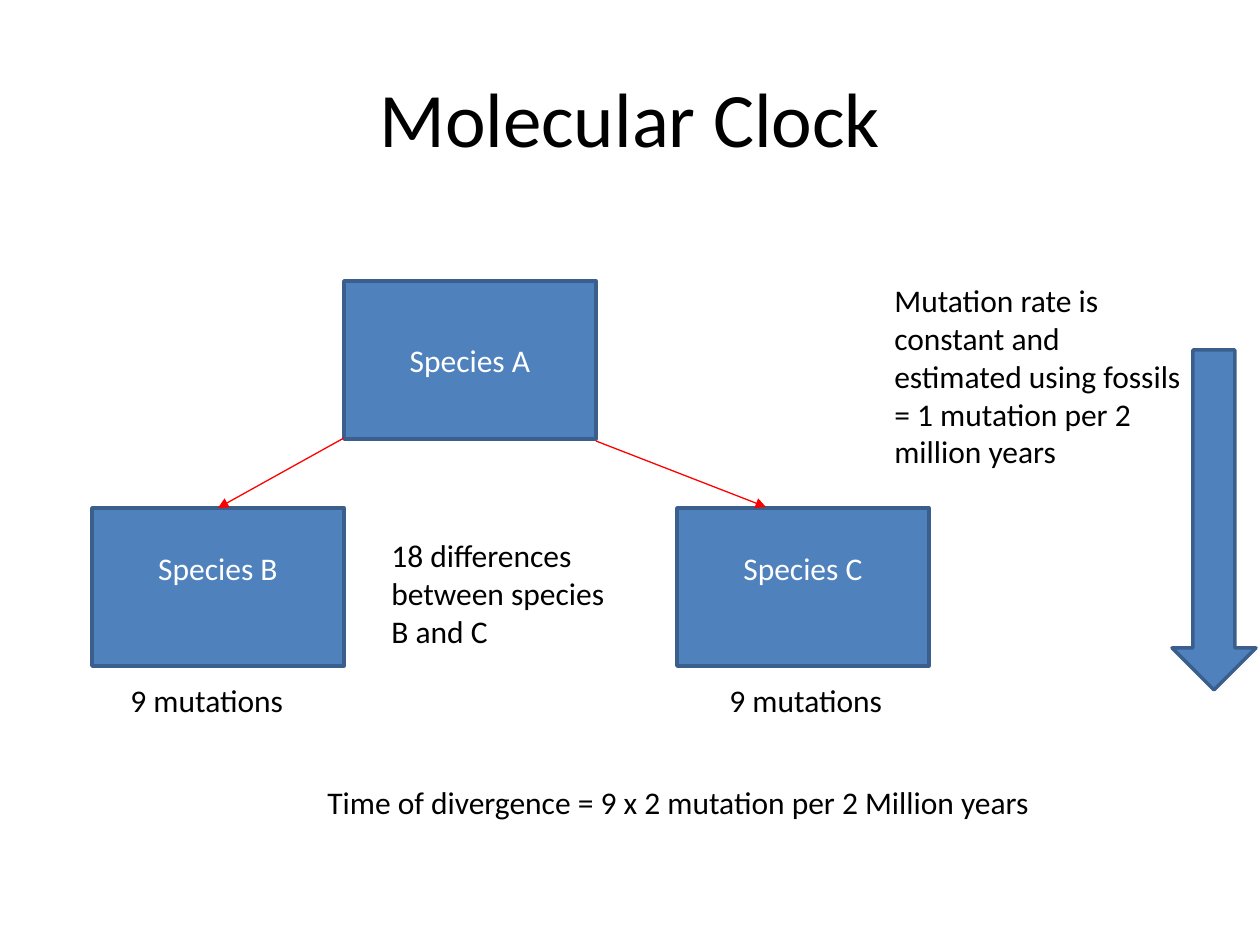
from pptx import Presentation
from pptx.dml.color import RGBColor
from pptx.enum.shapes import MSO_CONNECTOR, MSO_SHAPE
from pptx.enum.text import MSO_ANCHOR as Anchor, MSO_AUTO_SIZE as AutoSize, PP_ALIGN as Align
from pptx.oxml.ns import qn
from pptx.util import Emu, Pt
from lxml.etree import SubElement

PX_PER_INCH = 126
FONT = "Calibri"
BLACK = RGBColor(0x00, 0x00, 0x00)
WHITE = RGBColor(0xFF, 0xFF, 0xFF)
BLUE = RGBColor(0x4F, 0x81, 0xBD)
DARK_BLUE = RGBColor(0x3A, 0x5F, 0x8C)
RED = RGBColor(0xFF, 0x00, 0x00)

BOX_W, BOX_H = 252, 158
CHILD_TOP = 508
INSET = 6
LINE_H = 38


def px(*lengths):
    return [Emu(round(n * 914400 / PX_PER_INCH)) for n in lengths]


class SlideBuilder:
    """Holds the text style and the slide being filled."""

    def __init__(self, slide, size=18):
        self.slide = slide
        self.size = size

    def add_text(self, tf, text, color=BLACK, size=None, align=Align.LEFT):
        p = tf.paragraphs[0]
        p.alignment = align
        r = p.add_run()
        r.text = text
        r.font.name = FONT
        r.font.size = Pt(size or self.size)
        r.font.color.rgb = color

    def title(self, text, x, y, w, h):
        sp = self.slide.shapes.title
        sp.left, sp.top, sp.width, sp.height = px(x, y, w, h)
        sp.text_frame.vertical_anchor = Anchor.MIDDLE
        self.add_text(sp.text_frame, text, size=44, align=Align.CENTER)

    def shape(self, kind, x, y, w, h):
        sp = self.slide.shapes.add_shape(kind, *px(x, y, w, h))
        sp.shadow.inherit = False
        sp.fill.solid()
        sp.fill.fore_color.rgb = BLUE
        sp.line.color.rgb = DARK_BLUE
        sp.line.width = Pt(2)
        return sp

    def species(self, text, x, y, raised=False):
        """Add a species box; a raised label sits half a line above the middle."""
        sp = self.shape(MSO_SHAPE.RECTANGLE, x, y, BOX_W, BOX_H)
        tf = sp.text_frame
        tf.word_wrap = True
        tf.vertical_anchor = Anchor.MIDDLE
        if raised:
            tf.margin_bottom, = px(INSET + LINE_H)
        self.add_text(tf, text, WHITE, align=Align.CENTER)
        return sp

    def arrow(self, x1, y1, x2, y2):
        line = self.slide.shapes.add_connector(MSO_CONNECTOR.STRAIGHT, *px(x1, y1, x2, y2))
        line.line.color.rgb = RED
        line.line.width = Pt(0.75)
        SubElement(line.line._get_or_add_ln(), qn("a:tailEnd"), type="triangle")
        SubElement(line._element.spPr, qn("a:effectLst"))
        return line

    def note(self, text, x, y, w, h):
        tf = self.slide.shapes.add_textbox(*px(x, y, w, h)).text_frame
        tf.word_wrap = True
        tf.auto_size = AutoSize.SHAPE_TO_FIT_TEXT
        self.add_text(tf, text)


def main():
    prs = Presentation()
    prs.slide_width, prs.slide_height = px(1260, 945)
    s = SlideBuilder(prs.slides.add_slide(prs.slide_layouts[5]))

    s.title("Molecular Clock", 63, 38, 1134, 158)

    s.species("Species A", 344, 281)
    species_b = s.species("Species B", 92, CHILD_TOP, raised=True)
    s.species("Species C", 677, CHILD_TOP, raised=True)
    s.arrow(344, 438, 218, CHILD_TOP).end_connect(species_b, 0)
    s.arrow(596, 441, 766, 507)

    s.shape(MSO_SHAPE.DOWN_ARROW, 1172, 350, 84, 340)
    s.note("Mutation rate is constant and estimated using fossils "
           "= 1 mutation per 2 million years", 882, 275, 315, 204)
    for x in (118, 717):
        s.note("9 mutations", x, 675, 252, 50)
    s.note("18 differences between species B and C", 379, 530, 252, 127)
    s.note("Time of divergence = 9 x 2 mutation per 2 Million years", 315, 777, 756, 50)

    prs.save("out.pptx")


if __name__ == "__main__":
    main()
